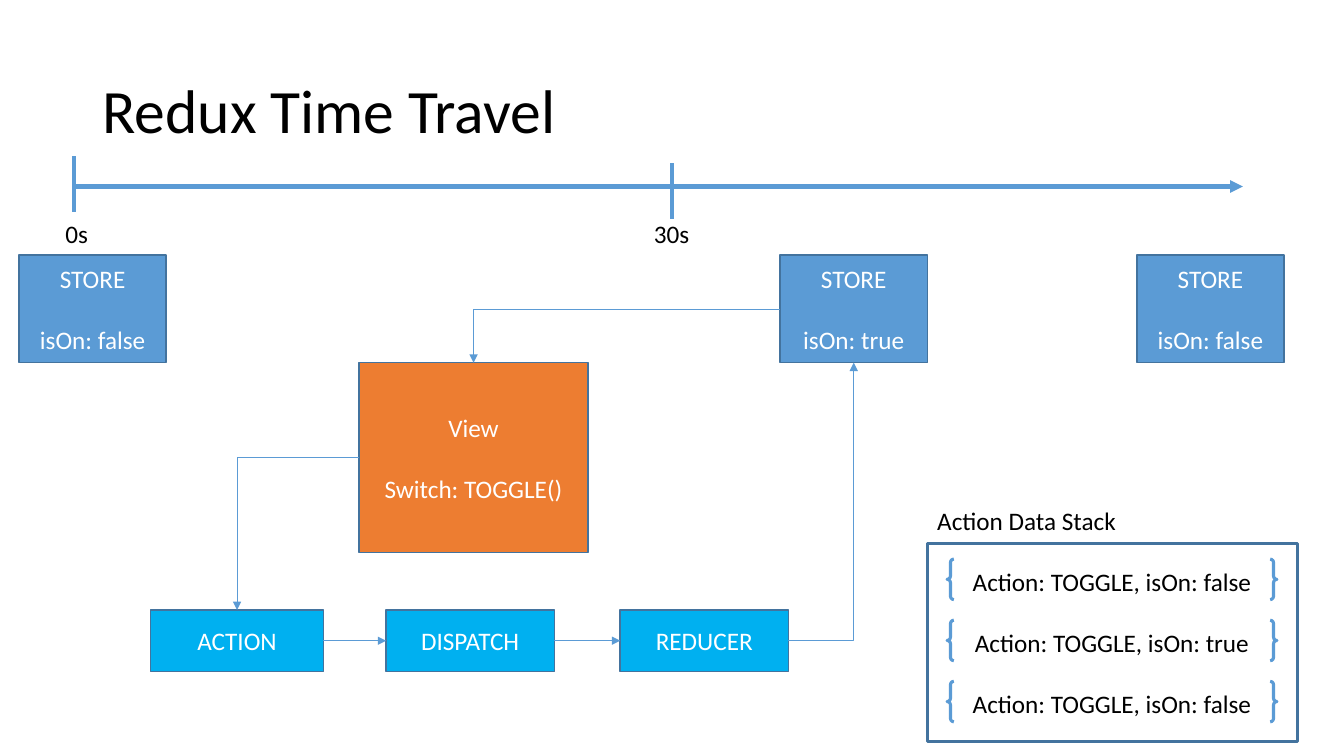
import lxml.etree
import pptx
import pptx.dml.color
import pptx.enum.shapes
import pptx.enum.text
import pptx.oxml.ns
import pptx.util

THEME = {
    "font": "Calibri",
    "head": 44, "body": 18, "gap": 22,
    "black": "000000", "white": "FFFFFF",
    "blue": "5B9BD5", "edge": "43739E",
    "orange": "ED7D31", "cyan": "00B0F0",
    "thin": 0.5, "rim": 1, "brace": 2.25, "thick": 3,
}

TITLE = ("Redux Time Travel", 2.33, 1.01, 29.21, 3.68)
AXIS = (1.86, 4.7, 31.32)
TICKS = [(1.86, 3.94), (16.93, 4.11)]
TIMES = [("0s", 1.4, 1.09), ("30s", 16.23, 1.42)]
STORES = [("isOn: false", 0.48), ("isOn: true", 19.66), ("isOn: false", 28.65)]
VIEW = (["View", "Switch: TOGGLE()"], 9.05, 9.14, 5.77, 4.78)
STEPS = [("ACTION", 3.8, 4.35), ("DISPATCH", 9.73, 4.24), ("REDUCER", 15.63, 4.24)]
STACK = ("Action Data Stack", 23.37, 12.6, 7.85, 1.02)
FRAME = (23.37, 13.69, 9.32, 5.0)
STATES = ["false", "true", "false"]

TICK = 1.41
STORE_TOP, STORE_W, STORE_H = 6.43, 3.71, 2.71
STEP_TOP, STEP_H = 15.37, 1.55
TIME_TOP, LINE_H = 5.38, 1.02
BRACE_X, BRACE_Y, BRACE_W, PITCH = 23.87, 14.09, 8.31, 1.54

SHAPE = pptx.enum.shapes.MSO_SHAPE
LINK = pptx.enum.shapes.MSO_CONNECTOR
ALIGN = pptx.enum.text.PP_ALIGN
ANCHOR = pptx.enum.text.MSO_ANCHOR
Cm, Pt = pptx.util.Cm, pptx.util.Pt
TOP, LEFT, BOTTOM, RIGHT = range(4)


def tint(name):
    return pptx.dml.color.RGBColor.from_string(THEME[name])


def write(shape, lines, color, size="body", align=ALIGN.CENTER):
    frame = shape.text_frame
    frame.text = "\n".join(lines)
    for i, para in enumerate(frame.paragraphs):
        para.alignment = align
        if i:
            para.space_before = Pt(THEME["gap"])
        for run in para.runs:
            run.font.name = THEME["font"]
            run.font.size = Pt(THEME[size])
            run.font.color.rgb = tint(color)
    return frame


def label(slide, text, x, y, w, h, size="body", wrap=True):
    box = slide.shapes.add_textbox(Cm(x), Cm(y), Cm(w), Cm(h))
    frame = write(box, [text], "black", size, ALIGN.LEFT)
    frame.word_wrap = wrap
    return frame


def block(slide, kind, x, y, w, h, fill=None, line="edge", width="rim"):
    shape = slide.shapes.add_shape(kind, Cm(x), Cm(y), Cm(w), Cm(h))
    shape.shadow.inherit = False
    if fill:
        shape.fill.solid()
        shape.fill.fore_color.rgb = tint(fill)
    else:
        shape.fill.background()
    shape.line.color.rgb = tint(line)
    shape.line.width = Pt(THEME[width])
    shape.text_frame.vertical_anchor = ANCHOR.MIDDLE
    return shape


def card(slide, lines, x, y, w, h, fill):
    shape = block(slide, SHAPE.RECTANGLE, x, y, w, h, fill)
    write(shape, lines, "white")
    return shape


def stroke(slide, kind, ends, width, arrow=False):
    line = slide.shapes.add_connector(kind, *ends)
    line.line.color.rgb = tint("blue")
    line.line.width = Pt(THEME[width])
    qn = pptx.oxml.ns.qn
    if arrow:
        tail = lxml.etree.SubElement(line.line._get_or_add_ln(), qn("a:tailEnd"))
        tail.set("type", "triangle")
    props = line._element.spPr
    lxml.etree.SubElement(props, qn("a:effectLst"))
    if kind == LINK.ELBOW:
        props.find(qn("a:prstGeom")).set("prst", "bentConnector2")
    return line


def site(shape, side):
    x, y, w, h = shape.left, shape.top, shape.width, shape.height
    return {
        TOP: (x + w // 2, y), LEFT: (x, y + h // 2),
        BOTTOM: (x + w // 2, y + h), RIGHT: (x + w, y + h // 2),
    }[side]


def join(slide, start, out, end, into, kind=LINK.ELBOW):
    ends = site(start, out) + site(end, into)
    line = stroke(slide, kind, ends, "thin", True)
    line.begin_connect(start, out)
    line.end_connect(end, into)


def main():
    deck = pptx.Presentation()
    deck.slide_width, deck.slide_height = Cm(33.87), Cm(19.05)
    slide = deck.slides.add_slide(deck.slide_layouts[6])

    head = label(slide, *TITLE, size="head")
    head.vertical_anchor = ANCHOR.MIDDLE
    head.paragraphs[0].line_spacing = 0.9

    start, level, end = AXIS
    ends = Cm(start), Cm(level), Cm(end), Cm(level)
    stroke(slide, LINK.STRAIGHT, ends, "thick", True)
    for x, y in TICKS:
        ends = Cm(x), Cm(y), Cm(x), Cm(y + TICK)
        stroke(slide, LINK.STRAIGHT, ends, "thick")
    for text, x, w in TIMES:
        label(slide, text, x, TIME_TOP, w, LINE_H, wrap=False)

    stores = [card(slide, ["STORE", state], x, STORE_TOP, STORE_W, STORE_H, "blue")
              for state, x in STORES]
    view = card(slide, *VIEW, "orange")
    steps = [card(slide, [text], x, STEP_TOP, w, STEP_H, "cyan")
             for text, x, w in STEPS]

    join(slide, view, LEFT, steps[0], TOP)
    for left, right in zip(steps, steps[1:]):
        join(slide, left, RIGHT, right, LEFT, LINK.STRAIGHT)
    join(slide, steps[-1], RIGHT, stores[1], BOTTOM)
    join(slide, stores[1], LEFT, view, TOP)

    label(slide, *STACK)
    block(slide, SHAPE.RECTANGLE, *FRAME, width="brace")
    for i, state in enumerate(STATES):
        entry = block(slide, SHAPE.DOUBLE_BRACE, BRACE_X, BRACE_Y + i * PITCH,
                      BRACE_W, LINE_H, line="blue", width="brace")
        write(entry, [f"Action: TOGGLE, isOn: {state}"], "black")

    deck.save("out.pptx")


if __name__ == "__main__":
    main()
